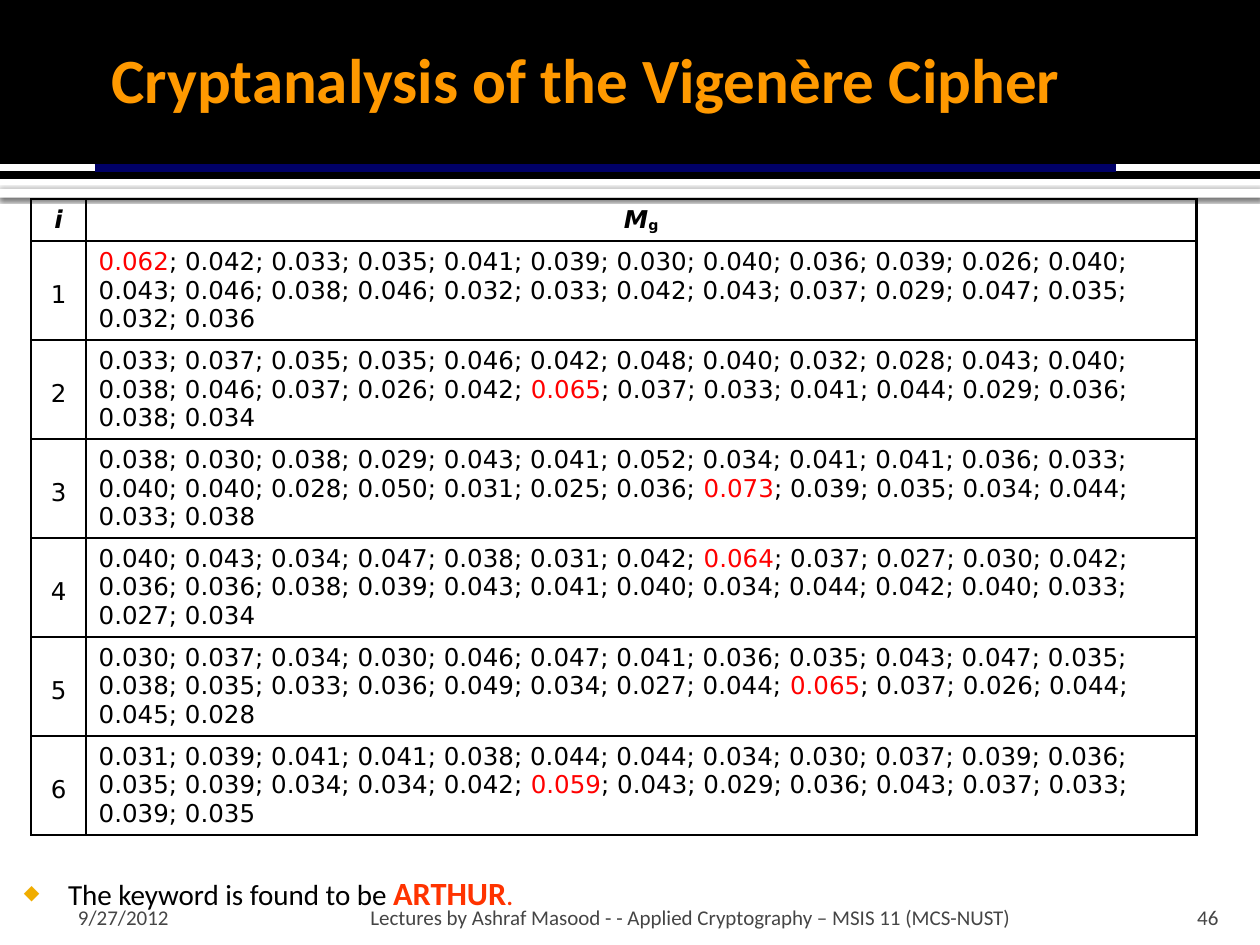
from lxml.etree import SubElement
from pptx import Presentation
from pptx.dml.color import RGBColor
from pptx.enum.shapes import MSO_CONNECTOR as Connector, MSO_SHAPE as Shape
from pptx.enum.text import MSO_ANCHOR as Anchor, PP_ALIGN as Align
from pptx.oxml.ns import qn
from pptx.util import Pt

BLACK = RGBColor(0x00, 0x00, 0x00)
WHITE = RGBColor(0xFF, 0xFF, 0xFF)
NAVY = RGBColor(0x00, 0x00, 0x66)
ORANGE = RGBColor(0xFF, 0x99, 0x00)
AMBER = RGBColor(0xF0, 0xAD, 0x00)
RED = RGBColor(0xFF, 0x00, 0x00)
KEYWORD_RED = RGBColor(0xFF, 0x33, 0x00)
GREY = RGBColor(0x45, 0x45, 0x45)

BODY_FONT = "Calibri"
TABLE_FONT = "DejaVu Sans"

# Index values for each key position; the largest one is highlighted
MG_VALUES = [
    "0.062; 0.042; 0.033; 0.035; 0.041; 0.039; 0.030; 0.040; 0.036; 0.039; 0.026; 0.040; 0.043; "
    "0.046; 0.038; 0.046; 0.032; 0.033; 0.042; 0.043; 0.037; 0.029; 0.047; 0.035; 0.032; 0.036",
    "0.033; 0.037; 0.035; 0.035; 0.046; 0.042; 0.048; 0.040; 0.032; 0.028; 0.043; 0.040; 0.038; "
    "0.046; 0.037; 0.026; 0.042; 0.065; 0.037; 0.033; 0.041; 0.044; 0.029; 0.036; 0.038; 0.034",
    "0.038; 0.030; 0.038; 0.029; 0.043; 0.041; 0.052; 0.034; 0.041; 0.041; 0.036; 0.033; 0.040; "
    "0.040; 0.028; 0.050; 0.031; 0.025; 0.036; 0.073; 0.039; 0.035; 0.034; 0.044; 0.033; 0.038",
    "0.040; 0.043; 0.034; 0.047; 0.038; 0.031; 0.042; 0.064; 0.037; 0.027; 0.030; 0.042; 0.036; "
    "0.036; 0.038; 0.039; 0.043; 0.041; 0.040; 0.034; 0.044; 0.042; 0.040; 0.033; 0.027; 0.034",
    "0.030; 0.037; 0.034; 0.030; 0.046; 0.047; 0.041; 0.036; 0.035; 0.043; 0.047; 0.035; 0.038; "
    "0.035; 0.033; 0.036; 0.049; 0.034; 0.027; 0.044; 0.065; 0.037; 0.026; 0.044; 0.045; 0.028",
    "0.031; 0.039; 0.041; 0.041; 0.038; 0.044; 0.044; 0.034; 0.030; 0.037; 0.039; 0.036; 0.035; "
    "0.039; 0.034; 0.034; 0.042; 0.059; 0.043; 0.029; 0.036; 0.043; 0.037; 0.033; 0.039; 0.035",
]


def add_span(para, text, size, color, font=BODY_FONT, bold=False, italic=False):
    span = para.add_run()
    span.text = text
    span.font.name, span.font.size = font, Pt(size)
    span.font.bold, span.font.italic = bold, italic
    span.font.color.rgb = color
    return span


def add_text_box(page, box, margins, anchor=Anchor.TOP, align=Align.LEFT):
    """Add an empty text box and return its first paragraph."""
    frame = page.shapes.add_textbox(*map(Pt, box)).text_frame
    frame.word_wrap = True
    frame.vertical_anchor = anchor
    (frame.margin_left, frame.margin_top,
     frame.margin_right, frame.margin_bottom) = map(Pt, margins)
    frame.paragraphs[0].alignment = align
    return frame.paragraphs[0]


def add_bar(page, box, color):
    bar = page.shapes.add_shape(Shape.RECTANGLE, *map(Pt, box))
    bar.shadow.inherit = False
    bar.fill.solid()
    bar.fill.fore_color.rgb = color
    bar.line.fill.background()
    return bar


def add_rule(page, ends, color, width):
    rule = page.shapes.add_connector(Connector.STRAIGHT, *map(Pt, ends))
    rule.line.color.rgb = color
    rule.line.width = Pt(width)
    SubElement(rule._element.spPr, qn("a:effectLst"))


def add_banner(page, box):
    left, top, width, height = box
    # White strip with a soft shadow below the banner
    strip = add_bar(page, (left, top + height + 5.8, width, 5), WHITE)
    effects = strip._element.spPr.find(qn("a:effectLst"))
    shadow = SubElement(effects, qn("a:outerShdw"), blurRad=str(Pt(2.5)), dist=str(Pt(0.8)),
                        dir="5400000", algn="tl", rotWithShape="0")
    tint = SubElement(shadow, qn("a:srgbClr"), val=str(BLACK))
    SubElement(tint, qn("a:alpha"), val="60000")
    # Black band with its two rules
    add_bar(page, box, BLACK)
    rule_y = top + height - 6.2
    add_rule(page, (left, rule_y, left + width, rule_y), WHITE, 4)
    add_rule(page, (left + 54, rule_y, left + 638, rule_y), NAVY, 5)
    # Title
    para = add_text_box(page, (left + 36, top + 5.8, 594, 77.8), (7.2, 3.6, 3.6, 3.6),
                        Anchor.MIDDLE, Align.CENTER)
    add_span(para, "Cryptanalysis of the Vigenère Cipher", 36, ORANGE, bold=True)


def set_borders(cell, widths):
    """Draw the left, right, top and bottom borders in the given widths."""
    properties = cell._tc.get_or_add_tcPr()
    for position, (side, width) in enumerate(zip("LRTB", widths)):
        line = properties.makeelement(qn(f"a:ln{side}"), {"w": str(Pt(width))})
        fill = SubElement(line, qn("a:solidFill"))
        SubElement(fill, qn("a:srgbClr"), val=str(BLACK))
        properties.insert(position, line)


def add_values_table(page, box):
    left, top, width, height = box
    header_height, index_width = 24, 31.4
    row_count = len(MG_VALUES) + 1
    table = page.shapes.add_table(row_count, 2, *map(Pt, box)).table
    table.first_row = table.horz_banding = False
    table.columns[0].width = Pt(index_width)
    table.columns[1].width = Pt(width - index_width)
    for number, row in enumerate(table.rows):
        is_header = number == 0
        row.height = Pt(header_height if is_header else (height - header_height) / len(MG_VALUES))
        for column, cell in enumerate(row.cells):
            cell.fill.background()
            cell.margin_bottom = Pt(2)
            set_borders(cell, (1 if column else 1.5, 1.5 if column else 1,
                               1.5 if is_header else 1,
                               1.5 if number == row_count - 1 else 1))
        index_para, values_para = (cell.text_frame.paragraphs[0] for cell in row.cells)
        index_para.alignment = Align.CENTER
        if is_header:
            add_span(index_para, "i", 14, BLACK, TABLE_FONT, True, True)
            values_para.alignment = Align.CENTER
            add_span(values_para, "M", 14, BLACK, TABLE_FONT, True, True)
            subscript = add_span(values_para, "g", 14, BLACK, TABLE_FONT, True)
            subscript.font._element.set("baseline", "-10000")
            continue
        row.cells[0].margin_top = Pt(22.7)
        add_span(index_para, str(number), 14, BLACK, TABLE_FONT)
        values = MG_VALUES[number - 1]
        peak = max(values.split("; "))
        for part, color in zip(values.partition(peak), (BLACK, RED, BLACK)):
            if part:
                add_span(values_para, part, 14, color, TABLE_FONT)


def add_conclusion(page, box):
    para = add_text_box(page, box, (4.3, 7.2, 7.2, 3.6))
    # Diamond bullet with a hanging indent
    properties = para._p.get_or_add_pPr()
    properties.set("marL", str(Pt(34.6)))
    properties.set("indent", str(Pt(-25.2)))
    bullet_color = SubElement(properties, qn("a:buClr"))
    SubElement(bullet_color, qn("a:srgbClr"), val=str(AMBER))
    SubElement(properties, qn("a:buSzPct"), val="70000")
    SubElement(properties, qn("a:buFont"), typeface=TABLE_FONT)
    SubElement(properties, qn("a:buChar"), char="◆")
    add_span(para, "The keyword is found to be ", 16.6, BLACK)
    add_span(para, "ARTHUR", 18.5, KEYWORD_RED, bold=True)
    add_span(para, ".", 16.6, KEYWORD_RED)


def add_footer(page, box):
    left, top, _, height = box
    parts = [
        ("9/27/2012", 36, 167.8, 8.6, 3.6, Align.LEFT),
        ("46", 645.8, 57.6, 7.2, 7.2, Align.RIGHT),
        ("Lectures by Ashraf Masood - - Applied Cryptography – MSIS 11 (MCS-NUST)",
         208, 433.4, 3.6, 3.6, Align.LEFT),
    ]
    for text, offset, width, margin_left, margin_right, align in parts:
        para = add_text_box(page, (left + offset, top, width, height),
                            (margin_left, 3.6, margin_right, 0), Anchor.BOTTOM, align)
        add_span(para, text, 12, GREY)


def main():
    deck = Presentation()
    deck.slide_width, deck.slide_height = Pt(720), Pt(540)
    page = deck.slides.add_slide(deck.slide_layouts[6])
    add_banner(page, (0, 0, 720, 102.2))
    add_values_table(page, (17.8, 113.8, 666, 363.4))
    add_conclusion(page, (0, 491.8, 648, 31.7))
    add_footer(page, (0, 509.8, 720, 21.6))
    deck.save("out.pptx")


if __name__ == "__main__":
    main()
